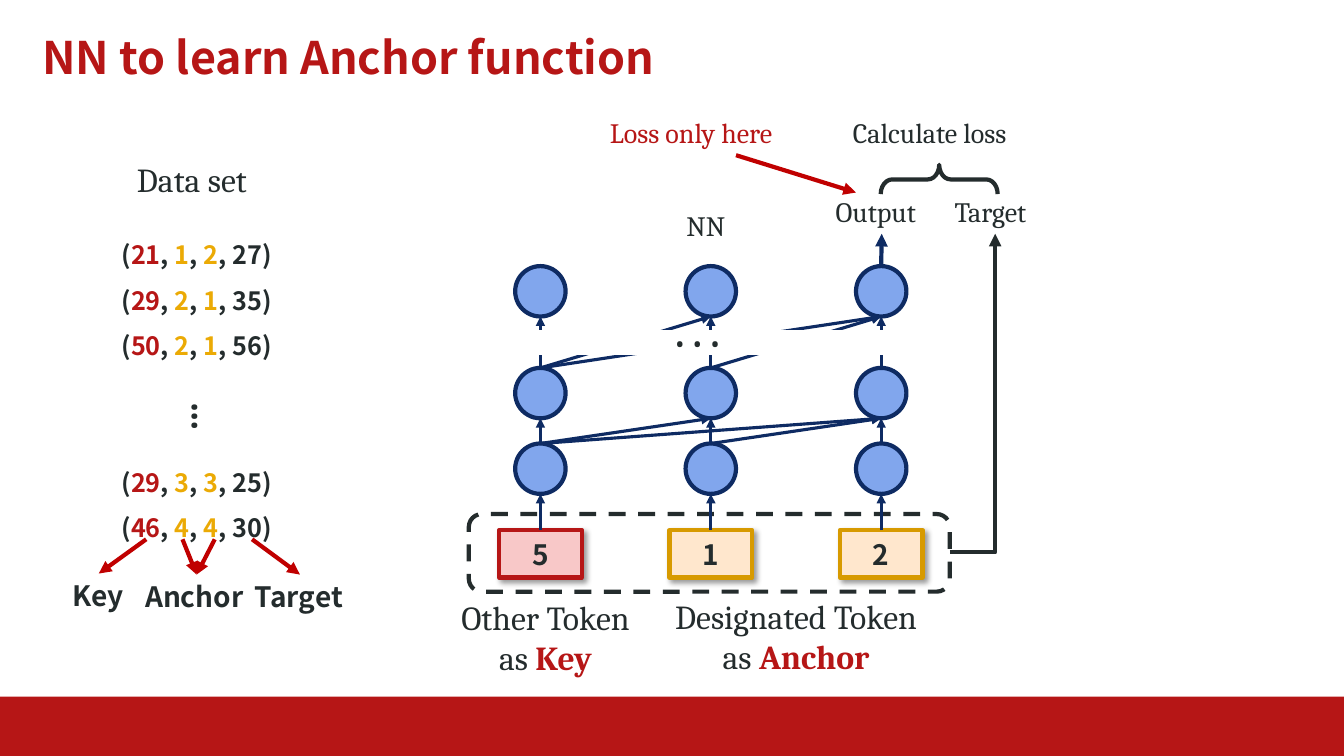
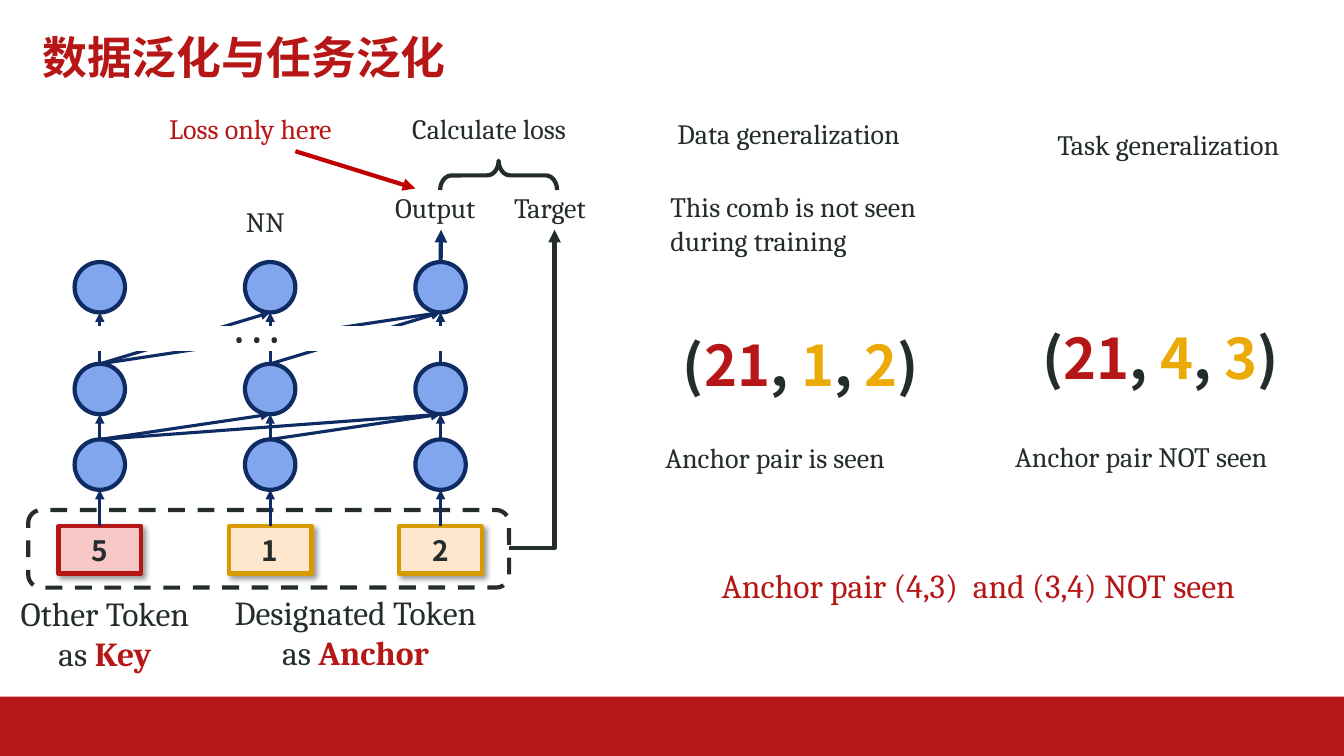
from lxml import etree
from pptx import Presentation
from pptx.dml.color import RGBColor
from pptx.enum.dml import MSO_LINE
from pptx.enum.shapes import MSO_CONNECTOR, MSO_SHAPE
from pptx.enum.text import MSO_ANCHOR, MSO_AUTO_SIZE, PP_ALIGN
from pptx.oxml.ns import qn
from pptx.util import Inches, Pt

SERIF, SANS = "Cambria", "Noto Sans CJK SC"
RED, INK, WHITE, GOLD = "B61616", "242C2D", "FFFFFF", "EBAA05"
NAVY, NODE_BLUE, POINTER_RED = "0E2B63", "81A6ED", "C00000"
KEY_FILL, ANCHOR_FILL, ANCHOR_EDGE = "F8C8C8", "FFE7CD", "D79A00"


def colour(hex_value):
    return RGBColor.from_string(hex_value)


def add_xml(parent, tag, **attributes):
    return etree.SubElement(parent, qn(tag), attributes)


class Deck:
    """Holds the style, the current slide and the origin of its drawing."""

    def __init__(self):
        self.prs = Presentation()
        self.prs.slide_width, self.prs.slide_height = Inches(13.33), Inches(7.5)
        self.slide = None
        self.origin = (0, 0)

    def new_slide(self, heading):
        self.slide = self.prs.slides.add_slide(self.prs.slide_layouts[5])
        self.origin = (0, 0)
        self.shape(MSO_SHAPE.RECTANGLE, (0, 6.91, 13.33, 0.59), RED)
        title = self.slide.shapes.title
        title.left, title.top, title.width, title.height = self.place(0.42, 0, 12.5, 0.83)
        frame = title.text_frame
        frame.auto_size = MSO_AUTO_SIZE.NONE
        frame.vertical_anchor = MSO_ANCHOR.BOTTOM
        frame.margin_left = frame.margin_right = frame.margin_top = frame.margin_bottom = 0
        frame.paragraphs[0].alignment = PP_ALIGN.LEFT
        self.runs(frame.paragraphs[0], [(heading, RED, True)], 32, SANS)

    def place(self, left, top, width, height):
        return (*self.point(left, top), Inches(width), Inches(height))

    def point(self, x, y):
        return Inches(self.origin[0] + x), Inches(self.origin[1] + y)

    def runs(self, paragraph, pieces, size, font):
        for content, hex_value, bold in pieces:
            run = paragraph.add_run()
            run.text = content
            run.font.size, run.font.bold = Pt(size), bold
            run.font.color.rgb = colour(hex_value)
            run.font.name = font
            latin = run.font._element.find(qn("a:latin"))
            east_asian = etree.Element(qn("a:ea"), typeface=font)
            latin.addnext(east_asian)

    def text(self, box, paragraphs, size=20, font=SERIF, align=None, wrap=True, spacing=None):
        label = self.slide.shapes.add_textbox(*self.place(*box))
        frame = label.text_frame
        frame.word_wrap = wrap
        frame.auto_size = MSO_AUTO_SIZE.SHAPE_TO_FIT_TEXT
        for index, pieces in enumerate(paragraphs):
            paragraph = frame.add_paragraph() if index else frame.paragraphs[0]
            paragraph.alignment, paragraph.line_spacing = align, spacing
            self.runs(paragraph, pieces, size, font)
        return label

    def label(self, box, content, hex_value=INK, size=20, font=SERIF, bold=False, wrap=False):
        return self.text(box, [[(content, hex_value, bold)]], size, font, wrap=wrap)

    def shape(self, kind, box, fill=None, edge=None, weight=3):
        item = self.slide.shapes.add_shape(kind, *self.place(*box))
        item.shadow.inherit = False
        if fill:
            item.fill.solid()
            item.fill.fore_color.rgb = colour(fill)
        else:
            item.fill.background()
        if edge:
            item.line.color.rgb = colour(edge)
            item.line.width = Pt(weight)
        else:
            item.line.fill.background()
        return item

    def token(self, box, content, fill, edge):
        token = self.shape(MSO_SHAPE.RECTANGLE, box, fill, edge)
        effects = token._element.spPr.find(qn("a:effectLst"))
        shadow = add_xml(effects, "a:outerShdw", blurRad=str(Pt(4)), dist=str(Pt(3)),
                         dir="2700000", algn="tl", rotWithShape="0")
        add_xml(add_xml(shadow, "a:srgbClr", val="000000"), "a:alpha", val="40000")
        token.text_frame.vertical_anchor = MSO_ANCHOR.MIDDLE
        paragraph = token.text_frame.paragraphs[0]
        paragraph.alignment = PP_ALIGN.CENTER
        self.runs(paragraph, [(content, INK, True)], 20, SANS)
        return token

    def arrow(self, start, end, hex_value, weight=3, source=None, target=None, elbow=False):
        """source is left from its top; target is a pair of shape and side."""
        kind = MSO_CONNECTOR.ELBOW if elbow else MSO_CONNECTOR.STRAIGHT
        arrow = self.slide.shapes.add_connector(kind, *self.point(*start), *self.point(*end))
        if source:
            arrow.begin_connect(source, 0)
        if target:
            arrow.end_connect(*target)
        properties = arrow._element.spPr
        if elbow:
            properties.find(qn("a:prstGeom")).set("prst", "bentConnector2")
        arrow.line.color.rgb = colour(hex_value)
        arrow.line.width = Pt(weight)
        add_xml(properties.find(qn("a:ln")), "a:tailEnd", type="triangle")
        add_xml(properties, "a:effectLst")


def sample(key, first, second, ending):
    """Runs of one data item: red key, gold anchors, dark rest."""
    parts = [("(", INK), (key, RED), (", ", INK), (first, GOLD), (", ", INK),
             (second, GOLD), (ending, INK)]
    return [(content, hex_value, True) for content, hex_value in parts]


def draw_network(deck, left, top):
    deck.origin = (left, top)
    columns = [0.99 + 1.69 * i for i in range(3)]
    layer_tops = [3.3, 2.55, 1.54]
    diameter = 0.5

    # Input tokens in their dashed frame
    frame = deck.shape(MSO_SHAPE.ROUNDED_RECTANGLE, (0.28, 4, 4.77, 0.77), WHITE, INK)
    frame.line.dash_style = MSO_LINE.DASH
    token_styles = [("5", KEY_FILL, RED), ("1", ANCHOR_FILL, ANCHOR_EDGE),
                    ("2", ANCHOR_FILL, ANCHOR_EDGE)]
    tokens = [deck.token((x - 0.41, 4.16, 0.82, 0.47), *style)
              for x, style in zip(columns, token_styles)]

    # Neurons, layer by layer from the bottom
    layers = [[deck.shape(MSO_SHAPE.OVAL, (x - diameter / 2, y, diameter, diameter),
                          NODE_BLUE, NAVY) for x in columns] for y in layer_tops]
    for x, token in zip(columns, tokens):
        deck.arrow((x, 4.16), (x, layer_tops[0] + diameter), NAVY, 2.25, source=token)

    # Each neuron feeds its own column and those to its right
    for lower, neurons in enumerate(layers[:-1]):
        for i, neuron in enumerate(neurons):
            for x in columns[i:]:
                deck.arrow((columns[i], layer_tops[lower]),
                           (x, layer_tops[lower + 1] + diameter), NAVY, 2.25, source=neuron)

    # Gap for the layers left out
    deck.shape(MSO_SHAPE.RECTANGLE, (0.44, 2.2, 4.36, 0.19), WHITE, WHITE, 4.33)
    deck.label((2.23, 1.91, 0.87, 0.57), ". . .", size=28, bold=True, wrap=True)

    # Output, target and loss
    output = deck.label((3.82, 0.78, 1.11, 0.44), "Output")
    deck.arrow((columns[2], layer_tops[2]), (columns[2], 1.22), NAVY,
               source=layers[2][2], target=(output, 2))
    deck.label((2.34, 0.92, 0.67, 0.44), "NN")
    deck.label((5, 0.78, 1.01, 0.44), "Target")
    deck.arrow((5.05, 4.38), (5.5, 1.22), INK, elbow=True)
    brace = deck.shape(MSO_SHAPE.LEFT_BRACE, (4.8, 0.1, 0.29, 1.16), edge=INK)
    brace.rotation = 90
    brace.adjustments[0] = 0.39
    deck.label((3.99, 0, 1.98, 0.44), "Calculate loss")
    deck.label((1.58, 0, 2, 0.44), "Loss only here", RED)
    deck.arrow((2.93, 0.44), (4.12, 0.81), POINTER_RED)

    # Captions under the tokens
    for box, lead, role in [((0, 4.77, 2.08, 0.91), "Other Token as ", "Key"),
                            ((2.07, 4.76, 2.91, 0.91), "Designated Token as ", "Anchor")]:
        deck.text(box, [[(lead, INK, False), (role, RED, True)]], 24, align=PP_ALIGN.CENTER)
    deck.origin = (0, 0)


def learning_slide(deck):
    deck.new_slide("NN to learn Anchor function")
    draw_network(deck, 4.37, 1.1)

    # Data set
    deck.label((1.26, 1.53, 1.55, 0.5), "Data set", size=24, wrap=True)
    samples = [("21", "1", "2", ", 27)"), ("29", "2", "1", ", 35)"), ("50", "2", "1", ", 56)"),
               ("29", "3", "3", ", 25)"), ("46", "4", "4", ", 30)")]
    data = deck.text((1.09, 2.18, 1.72, 3.23), [sample(*row) for row in samples], 18, SANS,
                     PP_ALIGN.CENTER, spacing=1.5)
    data.text_frame.paragraphs[3].space_before = Pt(65)
    ellipsis = deck.label((1.67, 3.88, 0.67, 0.49), "…", size=28, bold=True)
    ellipsis.text_frame._txBody.bodyPr.set("vert", "eaVert")

    # Names of the parts of a sample
    for content, box, starts in [("Key", (0.62, 5.69, 0.72, 0.44), [1.45]),
                                 ("Anchor", (1.34, 5.7, 1.22, 0.44), [1.81, 2.13]),
                                 ("Target", (2.43, 5.7, 1.09, 0.44), [2.5])]:
        part = deck.label(box, content, font=SANS, bold=True)
        for x in starts:
            deck.arrow((x, 5.35), (box[0] + box[2] / 2, box[1]), POINTER_RED, target=(part, 0))


def generalization_slide(deck):
    deck.new_slide("数据泛化与任务泛化")
    draw_network(deck, 0, 1.06)

    # Data and task generalization
    for box, content in [((6.62, 1.11, 2.66, 0.44), "Data generalization"),
                         ((10.39, 1.22, 2.66, 0.44), "Task generalization"),
                         ((6.55, 1.83, 3.08, 0.77), "This comb is not seen during training"),
                         ((6.5, 4.32, 3.08, 0.44), "Anchor pair is seen"),
                         ((9.97, 4.31, 3.08, 0.44), "Anchor pair NOT seen")]:
        deck.label(box, content, wrap=True)
    for box, anchors in [((6.04, 2.9, 3.81, 0.99), ("1", "2")),
                         ((9.73, 2.83, 3.56, 0.99), ("4", "3"))]:
        deck.text(box, [sample("21", *anchors, ")")], 40, SANS, PP_ALIGN.CENTER, spacing=1.5)
    deck.label((7.06, 5.56, 5.99, 0.5), "Anchor pair (4,3)  and (3,4) NOT seen", RED, 24, wrap=True)


def main():
    deck = Deck()
    learning_slide(deck)
    generalization_slide(deck)
    deck.prs.save("out.pptx")


if __name__ == "__main__":
    main()
